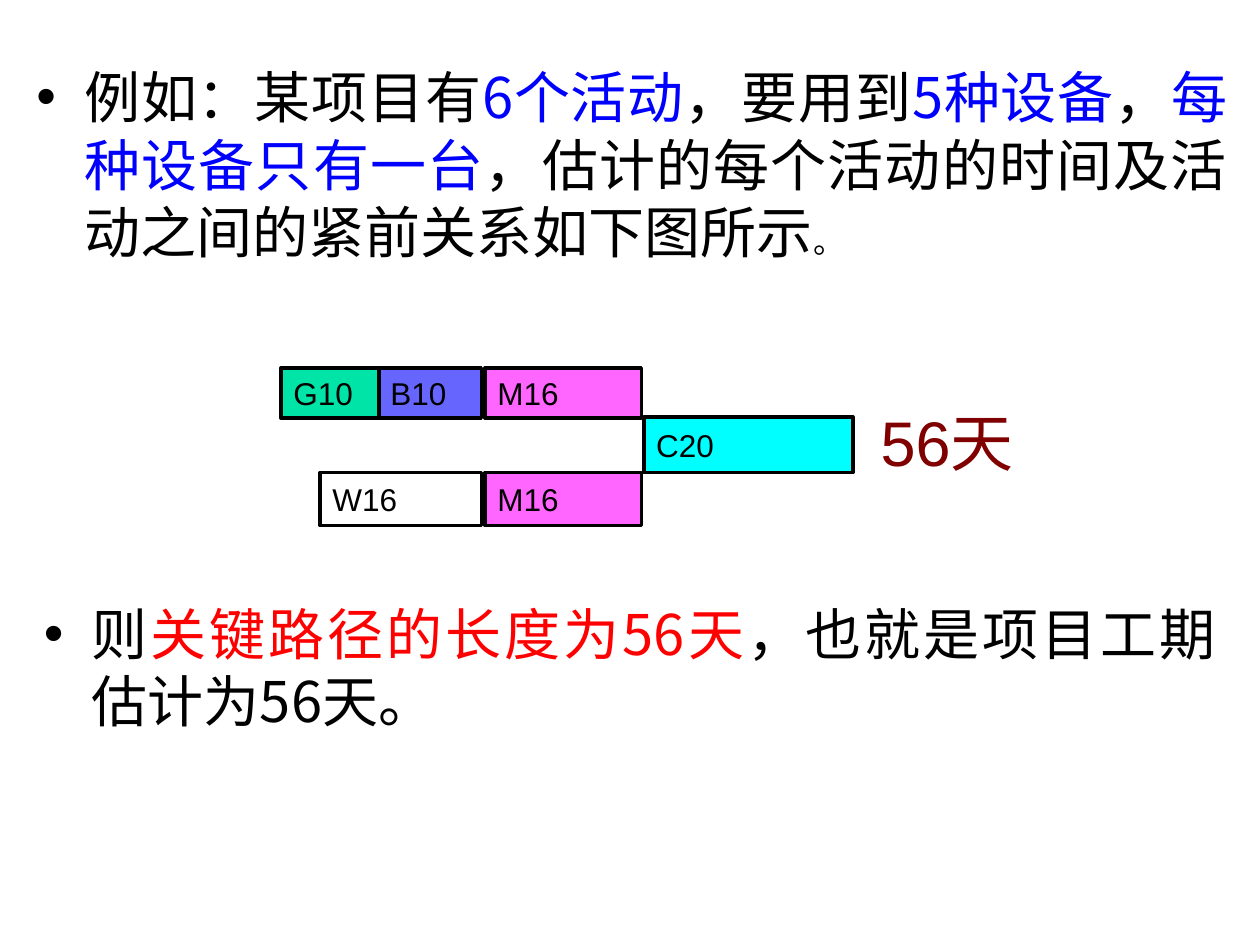
from lxml.etree import SubElement
from pptx import Presentation
from pptx.dml.color import RGBColor
from pptx.enum.shapes import MSO_SHAPE
from pptx.enum.text import MSO_ANCHOR, PP_ALIGN
from pptx.oxml.ns import qn
from pptx.util import Inches, Pt

BLACK, BLUE, RED, MAROON = "000000", "0000FF", "FF0000", "800000"
GREEN, VIOLET, PINK, CYAN, WHITE = "00E4A8", "6666FF", "FF66FF", "00FFFF", "FFFFFF"


def rgb(color):
    return RGBColor.from_string(color)


class SlideBuilder:
    latin = "Arial"
    chinese = "Noto Sans CJK SC"
    body_size = 32
    label_size = 18

    def __init__(self, slide):
        self.slide = slide

    def set_font(self, paragraph, name, size, color):
        font = paragraph.font
        font.size = Pt(size)
        font.color.rgb = rgb(color)
        font.name = name
        east_asian = SubElement(font._element, qn("a:ea"))
        east_asian.set("typeface", self.chinese)

    def text_box(self, left, top, width, height):
        box = self.slide.shapes.add_textbox(
            Inches(left), Inches(top), Inches(width), Inches(height))
        box.text_frame.word_wrap = True
        return box.text_frame.paragraphs[0]

    def caption(self, left, top, width, height, text, size, color):
        paragraph = self.text_box(left, top, width, height)
        paragraph.text = text
        self.set_font(paragraph, self.latin, size, color)

    def bullet(self, left, top, width, height, runs):
        """Each run is text, colour and, where it differs, size."""
        paragraph = self.text_box(left, top, width, height)
        paragraph.alignment = PP_ALIGN.JUSTIFY
        paragraph.line_spacing = Pt(self.body_size * 1.2)
        properties = paragraph._p.get_or_add_pPr()
        properties.set("marL", str(Inches(0.38)))
        properties.set("indent", str(Inches(-0.38)))
        bullet_color = SubElement(properties, qn("a:buClr"))
        SubElement(bullet_color, qn("a:srgbClr")).set("val", BLACK)
        SubElement(properties, qn("a:buFont")).set("typeface", self.latin)
        SubElement(properties, qn("a:buChar")).set("char", "•")
        self.set_font(paragraph, self.chinese, self.body_size, BLACK)
        for text, color, *size in runs:
            run = paragraph.add_run()
            run.text = text
            run.font.color.rgb = rgb(color)
            if size:
                run.font.size = Pt(size[0])

    def activity(self, left, top, width, height, label, color):
        bar = self.slide.shapes.add_shape(
            MSO_SHAPE.RECTANGLE,
            Inches(left), Inches(top), Inches(width), Inches(height))
        bar.shadow.inherit = False
        bar.fill.solid()
        bar.fill.fore_color.rgb = rgb(color)
        bar.line.color.rgb = rgb(BLACK)
        bar.line.width = Pt(2)
        frame = bar.text_frame
        frame.word_wrap = True
        frame.vertical_anchor = MSO_ANCHOR.MIDDLE
        paragraph = frame.paragraphs[0]
        paragraph.text = label
        paragraph.alignment = PP_ALIGN.LEFT
        self.set_font(paragraph, self.latin, self.label_size, BLACK)


def main():
    presentation = Presentation()
    presentation.slide_width = Inches(10)
    presentation.slide_height = Inches(7.5)
    builder = SlideBuilder(
        presentation.slides.add_slide(presentation.slide_layouts[6]))

    # Activity chart: rows of top, height and bars (left, width, label, colour)
    activity_rows = [
        (3.75, 0.42, [(2.54, 1.28, "W16", WHITE), (3.85, 1.24, "M16", PINK)]),
        (2.92, 0.4, [(3, 0.82, "B10", VIOLET), (3.85, 1.24, "M16", PINK),
                     (2.23, 0.78, "G10", GREEN)]),
        (3.31, 0.44, [(5.11, 1.66, "C20", CYAN)]),
    ]
    for top, height, bars in activity_rows:
        for left, width, label, color in bars:
            builder.activity(left, top, width, height, label, color)

    # Total duration
    builder.caption(6.89, 3.15, 1.47, 0.7, "56天", 36, MAROON)

    # Problem statement
    builder.bullet(0.19, 0.45, 9.65, 1.77, [
        ("例如：某项目有", BLACK),
        ("6个活动", BLUE),
        ("，要用到", BLACK),
        ("5种设备", BLUE),
        ("，", BLACK),
        ("每种设备只有一台", BLUE),
        ("，估计的每个活动的时间及活动之间的紧前关系如下图所示", BLACK),
        ("。", BLACK, 18),
    ])

    # Conclusion
    builder.bullet(0.25, 4.71, 9.5, 1.85, [
        ("则", BLACK),
        ("关键路径的长度为56天", RED),
        ("，也就是项目工期估计为56天。", BLACK),
    ])

    presentation.save("out.pptx")


if __name__ == "__main__":
    main()
